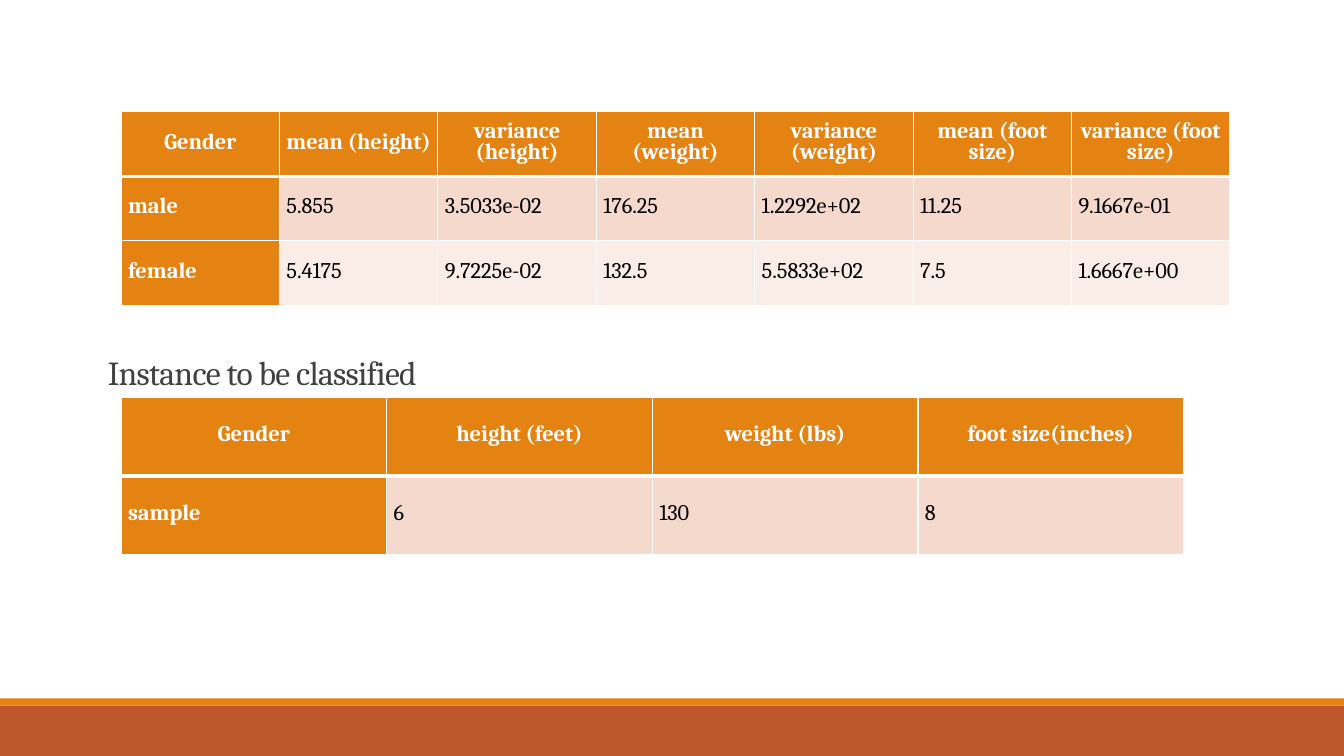
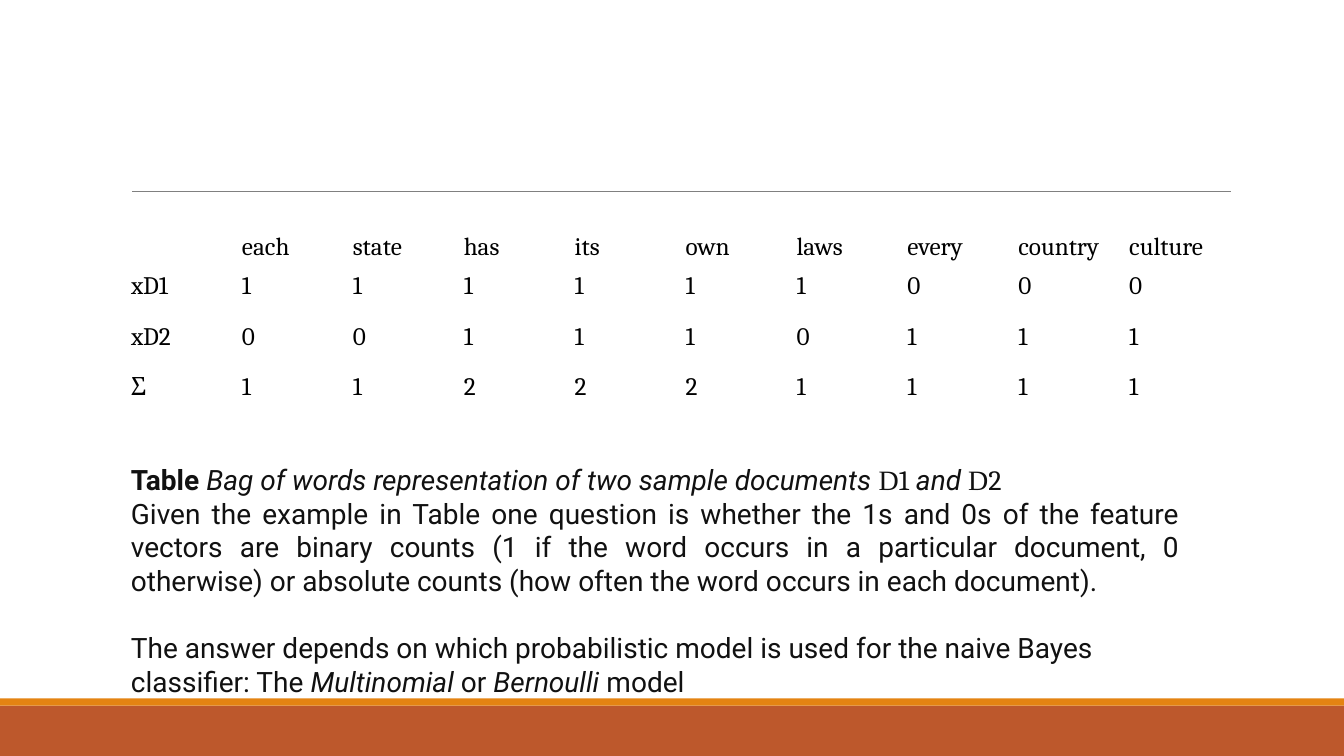
from pptx import Presentation
from pptx.dml.color import RGBColor
from pptx.enum import shapes, text
from pptx.oxml import parse_xml
from pptx.oxml.ns import nsdecls
from pptx.util import Inches, Pt

COLORS = {
    "white": "FFFFFF", "black": "000000", "title": "404040", "body": "111111",
    "orange": "E48312", "rust": "BD582C", "rule": "808080",
    "band_dark": "F5D9CC", "band_light": "FAEDE7",
}
SERIF, SANS, MATH = "Cambria", "Roboto", "Times New Roman"

# Content
TITLE = "Instance to be classified"
STATISTICS = [
    ["Gender", "mean (height)", "variance (height)", "mean (weight)",
     "variance (weight)", "mean (foot size)", "variance (foot size)"],
    ["male", "5.855", "3.5033e-02", "176.25", "1.2292e+02", "11.25", "9.1667e-01"],
    ["female", "5.4175", "9.7225e-02", "132.5", "5.5833e+02", "7.5", "1.6667e+00"],
]
SAMPLE = [
    ["Gender", "height (feet)", "weight (lbs)", "foot size(inches)"],
    ["sample", "6", "130", "8"],
]
WORD_COUNTS = [
    ["", "each", "state", "has", "its", "own", "laws", "every", "country", "culture"],
    ["xD1", *"111111000"],
    ["xD2", *"001110111"],
    ["Σ", *"112221111"],
]
# Each paragraph: alignment, space before in points, runs of (text, style)
JUSTIFY, LEFT = text.PP_ALIGN.JUSTIFY, text.PP_ALIGN.LEFT
EXPLANATION = [
    (JUSTIFY, 0, [
        ("Table ", "bold"),
        ("Bag of words representation of two sample documents ", "italic"),
        ("D", MATH), ("1", SERIF), (" and ", "italic"), ("D", MATH), ("2", SERIF)]),
    (JUSTIFY, 0, [
        ("Given the example in Table one question is whether the 1s and 0s of the "
         "feature vectors are binary counts (1 if the word occurs in a particular "
         "document, 0 otherwise) or absolute counts (how often the word occurs in "
         "each document).", SANS)]),
    (LEFT, 24, [
        ("The answer depends on which probabilistic model is used for the naive "
         "Bayes classifier: The ", SANS),
        ("Multinomial", "italic"), (" or ", SANS), ("Bernoulli", "italic"),
        (" model", SANS)]),
]


def rgb(name):
    return RGBColor.from_string(COLORS[name])


def style_font(font, name, size, color, bold=False):
    font.name, font.size, font.bold = name, Pt(size), bold
    font.color.rgb = rgb(color)


# Parts shared by the slides
def add_slide(presentation, layout_index):
    slide = presentation.slides.add_slide(presentation.slide_layouts[layout_index])
    for top, height, color in ((7, 0.5, "rust"), (6.93, 0.07, "orange")):
        band = slide.shapes.add_shape(
            shapes.MSO_SHAPE.RECTANGLE, 0, Inches(top),
            presentation.slide_width, Inches(height))
        band.shadow.inherit = False
        band.fill.solid()
        band.fill.fore_color.rgb = rgb(color)
        band.line.fill.background()
    rule = slide.shapes.add_connector(
        shapes.MSO_CONNECTOR.STRAIGHT,
        Inches(1.31), Inches(1.9), Inches(12.21), Inches(1.9))
    rule.line.color.rgb = rgb("rule")
    rule.line.width = Pt(0.5)
    rule._element.spPr.append(parse_xml(f"<a:effectLst {nsdecls('a')}/>"))
    return slide


def add_table(slide, rows, left, top, width, row_heights, headed):
    column_count = len(rows[0])
    table = slide.shapes.add_table(
        len(rows), column_count, Inches(left), Inches(top),
        Inches(width), Inches(sum(row_heights))).table
    table.first_row = table.first_col = headed
    table.horz_banding = False
    for column in table.columns:
        column.width = Inches(width / column_count)
    for row, height in zip(table.rows, row_heights):
        row.height = Inches(height)
    for row_index, values in enumerate(rows):
        for column_index, value in enumerate(values):
            cell = table.cell(row_index, column_index)
            cell.text = value
            cell.vertical_anchor = text.MSO_ANCHOR.MIDDLE
            if headed:
                format_headed_cell(cell, row_index, column_index)
            else:
                fill_cell(cell, "white")
                style_font(cell.text_frame.paragraphs[0].font, SERIF, 18, "black")
    return table


def fill_cell(cell, color):
    cell.fill.solid()
    cell.fill.fore_color.rgb = rgb(color)


def format_headed_cell(cell, row_index, column_index):
    cell.margin_left = cell.margin_right = Inches(0.07)
    cell.margin_top = cell.margin_bottom = Inches(0.03)
    # The line below the header row is thicker
    thick_side = {0: "lnB", 1: "lnT"}.get(row_index)
    for side in ("lnL", "lnR", "lnT", "lnB"):
        width = Pt(3 if side == thick_side else 1)
        cell._tc.get_or_add_tcPr().append(parse_xml(
            f'<a:{side} {nsdecls("a")} w="{width}"><a:solidFill>'
            f'<a:srgbClr val="{COLORS["white"]}"/></a:solidFill></a:{side}>'))
    header = row_index == 0 or column_index == 0
    band = "band_dark" if row_index % 2 else "band_light"
    fill_cell(cell, "orange" if header else band)
    paragraph = cell.text_frame.paragraphs[0]
    paragraph.line_spacing = Pt(15.2)
    paragraph.alignment = text.PP_ALIGN.CENTER if row_index == 0 else LEFT
    style_font(paragraph.font, SERIF, 16, "white" if header else "black", header)


def build_classification(presentation):
    slide = add_slide(presentation, 5)
    title = slide.shapes.title
    title.left, title.top = Inches(0.97), Inches(3.02)
    title.width, title.height = Inches(9.7), Inches(0.92)
    frame = title.text_frame
    frame.text = TITLE
    frame.auto_size = text.MSO_AUTO_SIZE.NONE
    frame.vertical_anchor = text.MSO_ANCHOR.BOTTOM
    paragraph = frame.paragraphs[0]
    paragraph.alignment = LEFT
    paragraph.line_spacing = 0.85
    style_font(paragraph.font, SERIF, 24, "title")
    paragraph.runs[0]._r.get_or_add_rPr().set("spc", "-50")
    add_table(slide, STATISTICS, 1.2, 1.11, 11, [0.64] * 3, headed=True)
    add_table(slide, SAMPLE, 1.2, 3.94, 10.54, [0.78] * 2, headed=True)


def build_bag_of_words(presentation):
    slide = add_slide(presentation, 6)
    add_table(slide, WORD_COUNTS, 1.2, 2.26, 11, [0.39, 0.39, 0.61, 0.39], headed=False)
    box = slide.shapes.add_textbox(Inches(1.2), Inches(4.54), Inches(10.6), Inches(2.79))
    frame = box.text_frame
    frame.word_wrap = True
    for index, (alignment, space_before, runs) in enumerate(EXPLANATION):
        paragraph = frame.add_paragraph() if index else frame.paragraphs[0]
        paragraph.alignment = alignment
        if space_before:
            paragraph.space_before = Pt(space_before)
        for content, style in runs:
            run = paragraph.add_run()
            run.text = content
            name = style if style in (SERIF, MATH) else SANS
            style_font(run.font, name, 20, "body", style == "bold")
            run.font.italic = style == "italic"


def main():
    presentation = Presentation()
    presentation.slide_width, presentation.slide_height = Inches(13.33), Inches(7.5)
    build_classification(presentation)
    build_bag_of_words(presentation)
    presentation.save("out.pptx")


if __name__ == "__main__":
    main()
